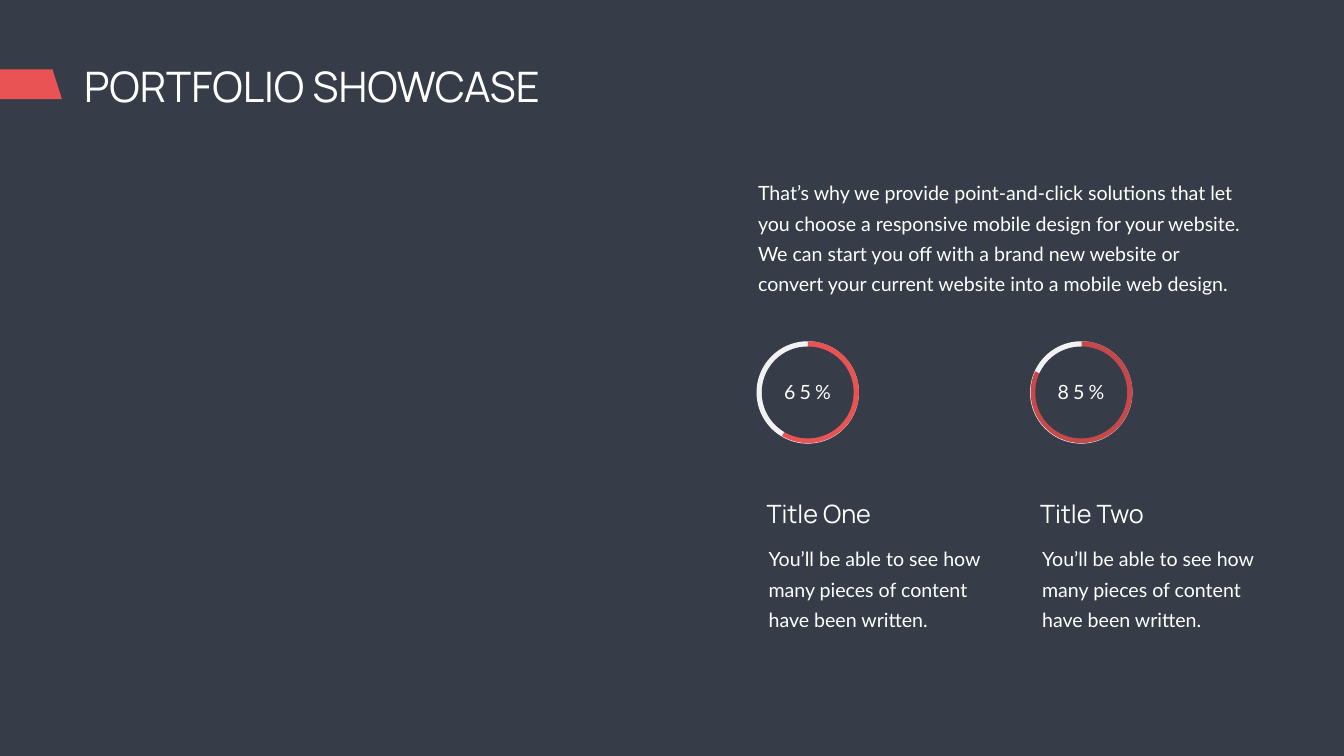
from dataclasses import dataclass

from pptx import Presentation
from pptx import util as u
from pptx.dml.color import RGBColor
from pptx.enum import shapes, text

PX = 9525  # EMU in one px


@dataclass(frozen=True)
class Theme:
    background: str = "363D48"
    ink: str = "FFFFFF"
    track: str = "F2F2F2"
    accent: str = "E95354"
    accent_dark: str = "C5494B"
    heading_font: str = "Manrope"
    body_font: str = "Lato"
    headline: int = 60
    subhead: int = 36
    body: int = 28
    leading: int = 43


THEME = Theme()
HEADLINE = {"name": THEME.heading_font, "size": u.Pt(THEME.headline)}
SUBHEAD = {"name": THEME.heading_font, "size": u.Pt(THEME.subhead)}
BODY = {"name": THEME.body_font, "size": u.Pt(THEME.body)}
LEADING = {"line_spacing": u.Pt(THEME.leading), "space_before": u.Pt(0)}
CENTRED = {"alignment": text.PP_ALIGN.CENTER}


def apply(target, values):
    for name, value in values.items():
        setattr(target, name, value)


def paint(shape, color):
    shape.shadow.inherit = False
    shape.fill.solid()
    shape.fill.fore_color.rgb = RGBColor.from_string(color)
    shape.line.fill.background()


def add_text(slide, box, words, font, layout=None, inset=(10, 5), wrap=True):
    frame = slide.shapes.add_textbox(*(v * PX for v in box)).text_frame
    across, down = (v * PX for v in inset)
    apply(frame, {
        "word_wrap": wrap,
        "auto_size": text.MSO_AUTO_SIZE.SHAPE_TO_FIT_TEXT,
        "margin_left": across, "margin_right": across,
        "margin_top": down, "margin_bottom": down,
    })
    paragraph = frame.paragraphs[0]
    apply(paragraph, layout or {})
    run = paragraph.add_run()
    run.text = words
    apply(run.font, font)
    run.font.color.rgb = RGBColor.from_string(THEME.ink)
    return run


def add_body(slide, box, words):
    add_text(slide, box, words, BODY, LEADING, inset=(23, 12))


def add_disc(slide, kind, left, top, size, color):
    disc = slide.shapes.add_shape(kind, *(v * PX for v in (left, top, size, size)))
    paint(disc, color)
    return disc


def add_header(slide, box, words):
    left, top, width, height = box
    # Slanted marker at the slide's edge
    marker_top = top + 21
    outline = slide.shapes.build_freeform(left + 100, marker_top, scale=PX)
    outline.add_line_segments([
        (left, marker_top), (left, marker_top + 57), (left + 118, marker_top + 57),
    ])
    paint(outline.convert_to_shape(), THEME.accent)
    # Headline
    add_text(slide, (left + 150, top, width - 150, height), words, HEADLINE)


def add_dial(slide, box, percent, end_angle, color):
    left, top, size = box
    ring = 10
    # Track, filled sector and hole
    add_disc(slide, shapes.MSO_SHAPE.OVAL, left, top, size, THEME.track)
    sector = add_disc(slide, shapes.MSO_SHAPE.PIE, left + 1, top, size - 1, color)
    for index, angle in enumerate((270, end_angle)):
        sector.adjustments[index] = angle * 0.6  # 60000 units a degree
    add_disc(slide, shapes.MSO_SHAPE.OVAL, left + ring, top + ring,
             size - 2 * ring, THEME.background)
    # Percentage
    label = add_text(slide, (left + 36, top + 69, 122, 55), percent, BODY,
                     CENTRED, wrap=False)
    label.font._element.set("spc", "600")


def add_skill(slide, box, percent, end_angle, color, heading, words):
    left, top, width, height = box
    add_dial(slide, (left, top, 195), percent, end_angle, color)
    add_text(slide, (left + 9, top + 295, 397, 68), heading, SUBHEAD)
    add_body(slide, (left, top + 368, width, height - 368), words)


def main():
    deck = Presentation()
    deck.slide_width, deck.slide_height = 2560 * PX, 1440 * PX
    slide = deck.slides.add_slide(deck.slide_layouts[6])
    slide.background.fill.solid()
    slide.background.fill.fore_color.rgb = RGBColor.from_string(THEME.background)

    add_header(slide, (0, 111, 1146, 107), "PORTFOLIO SHOWCASE")

    add_body(slide, (1421, 321, 982, 249),
             "That’s why we provide point-and-click solutions that let you choose "
             "a responsive mobile design for your website. We can start you off "
             "with a brand new website or convert your current website into a "
             "mobile web design.")

    # Skill columns
    summary = "You’ll be able to see how many pieces of content have been written."
    skills = [
        ("65%", 120.7, THEME.accent, "Title One"),
        ("85%", 204.2, THEME.accent_dark, "Title Two"),
    ]
    for column, skill in enumerate(skills):
        add_skill(slide, (1441 + 521 * column, 650, 456, 559), *skill, summary)

    deck.save("out.pptx")


if __name__ == "__main__":
    main()
